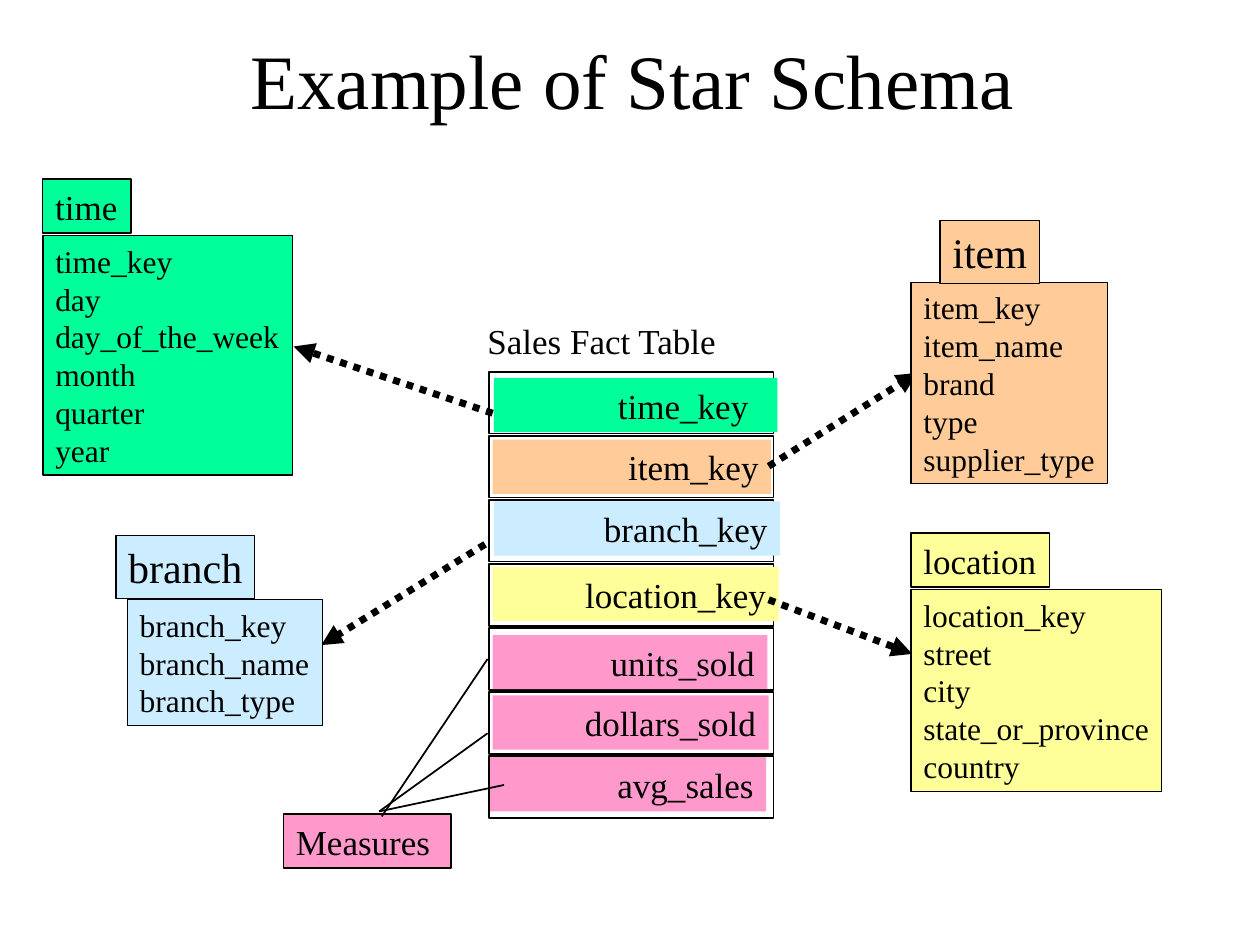
from lxml.etree import SubElement
from pptx import Presentation
from pptx.dml.color import RGBColor
from pptx.enum.dml import MSO_LINE
from pptx.enum.shapes import MSO_CONNECTOR, MSO_SHAPE
from pptx.enum.text import MSO_ANCHOR as Anchor, PP_ALIGN as Align
from pptx.oxml.ns import qn
from pptx.util import Inches, Pt

FONT = "Times New Roman"
COLORS = {
    "ink": "000000",
    "time": "00FF99",
    "item": "FFCC99",
    "branch": "CCECFF",
    "location": "FFFF99",
    "measure": "FF99CC",
}


def color(name):
    """Return the named colour."""
    return RGBColor.from_string(COLORS[name])


def write(shape, lines, size, align=Align.LEFT, anchor=Anchor.TOP, wrap=False, right=0.1):
    """Write one paragraph per line into a shape."""
    frame = shape.text_frame
    frame.word_wrap = wrap
    frame.vertical_anchor = anchor
    frame.margin_left, frame.margin_right = Inches(0.1), Inches(right)
    frame.margin_top = frame.margin_bottom = Inches(0.05)
    for index, line in enumerate(lines):
        para = frame.paragraphs[0] if index == 0 else frame.add_paragraph()
        para.alignment = align
        span = para.add_run()
        span.text = line
        span.font.name, span.font.size = FONT, Pt(size)
        span.font.color.rgb = color("ink")


def add_box(page, box, fill=None, border=None):
    """Add a rectangle with an optional fill and border."""
    shape = page.shapes.add_shape(MSO_SHAPE.RECTANGLE, *map(Inches, box))
    shape.shadow.inherit = False
    if fill:
        shape.fill.solid()
        shape.fill.fore_color.rgb = color(fill)
    else:
        shape.fill.background()
    if border:
        shape.line.color.rgb = color("ink")
        shape.line.width = Pt(border)
    else:
        shape.line.fill.background()
    return shape


def add_line(page, start, end, width=1, arrow=False):
    """Add a thin line or a thick dotted arrow."""
    line = page.shapes.add_connector(MSO_CONNECTOR.STRAIGHT, *map(Inches, start + end))
    line.line.color.rgb = color("ink")
    line.line.width = Pt(width)
    properties = line._element.spPr
    if arrow:
        line.line.dash_style = MSO_LINE.ROUND_DOT
        SubElement(properties.find(qn("a:ln")), qn("a:tailEnd"), type="triangle")
    SubElement(properties, qn("a:effectLst"))


def add_title(page, box, text):
    """Place and fill the title."""
    title = page.shapes.title
    title.left, title.top, title.width, title.height = map(Inches, box)
    write(title, [text], 44, Align.CENTER, Anchor.MIDDLE, wrap=True)


def add_dimension(page, box, name, fields, tab, size=20, align=Align.LEFT):
    """Add a dimension table with its name tab above."""
    write(add_box(page, box, name, 0.75), fields, 18)
    write(add_box(page, tab, name, 0.75), [name], size, align, Anchor.MIDDLE)


def add_fact_table(page, box, rows):
    """Add the captioned fact table, one framed bar per row."""
    left, top, width, height = box
    caption = page.shapes.add_textbox(*map(Inches, (left - 0.11, top - 0.46, 2.04, 0.43)))
    write(caption, ["Sales Fact Table"], 20)
    pitch = height / len(rows)
    for index, (text, fill, bar_left, bar_top, bar_width, right) in enumerate(rows):
        add_box(page, (left, top + index * pitch, width, 0.49), border=1)
        bar = add_box(page, (bar_left, bar_top, bar_width, 0.43), fill)
        write(bar, [text], 20, Align.RIGHT, wrap=True, right=right)


def add_measures(page, box):
    """Add the measures label with lines to the three measure rows."""
    write(add_box(page, box, "measure", 0.75), ["Measures"], 20, wrap=True)
    add_line(page, (3.03, 6.48), (3.87, 5.23))
    for end in ((3.87, 5.82), (4, 6.23)):
        add_line(page, (3.01, 6.44), end)


def add_key_arrows(page):
    """Point from the keys of the fact table to the dimensions."""
    for start, end in (
        ((3.85, 4.32), (2.55, 5.12)),
        ((3.91, 3.28), (2.33, 2.75)),
        ((6.1, 4.76), (7.24, 5.19)),
        ((6.1, 3.7), (7.28, 2.96)),
    ):
        add_line(page, start, end, 4, arrow=True)


def main():
    """Build the star schema slide."""
    deck = Presentation()
    deck.slide_width, deck.slide_height = Inches(10), Inches(7.5)
    page = deck.slides.add_slide(deck.slide_layouts[5])
    add_title(page, (1.08, 0.17, 7.88, 0.91), "Example of Star Schema")
    add_dimension(page, (0.34, 1.87, 1.98, 1.9), "time",
                  ["time_key", "day", "day_of_the_week", "month", "quarter", "year"],
                  (0.34, 1.42, 0.7, 0.43))
    add_dimension(page, (7.23, 4.68, 1.99, 1.6), "location",
                  ["location_key", "street", "city", "state_or_province", "country"],
                  (7.23, 4.23, 1.1, 0.43))
    add_fact_table(page, (3.88, 2.95, 2.26, 3.56), [
        ("time_key", "time", 3.92, 3, 2.25, 0.23),
        ("item_key", "item", 3.91, 3.49, 2.21, 0.1),
        ("branch_key", "branch", 3.92, 3.98, 2.27, 0.1),
        ("location_key", "location", 3.91, 4.5, 2.27, 0.1),
        ("units_sold", "measure", 3.91, 5.04, 2.18, 0.1),
        ("dollars_sold", "measure", 3.91, 5.52, 2.19, 0.1),
        ("avg_sales", "measure", 3.89, 6.01, 2.19, 0.1),
    ])
    add_measures(page, (2.25, 6.46, 1.33, 0.43))
    add_key_arrows(page)
    add_dimension(page, (7.23, 2.24, 1.56, 1.6), "item",
                  ["item_key", "item_name", "brand", "type", "supplier_type"],
                  (7.46, 1.75, 0.79, 0.5), 24, Align.CENTER)
    add_dimension(page, (1.01, 4.76, 1.55, 1), "branch",
                  ["branch_key", "branch_name", "branch_type"],
                  (0.92, 4.25, 1.1, 0.5), 24, Align.CENTER)
    deck.save("out.pptx")


if __name__ == "__main__":
    main()
